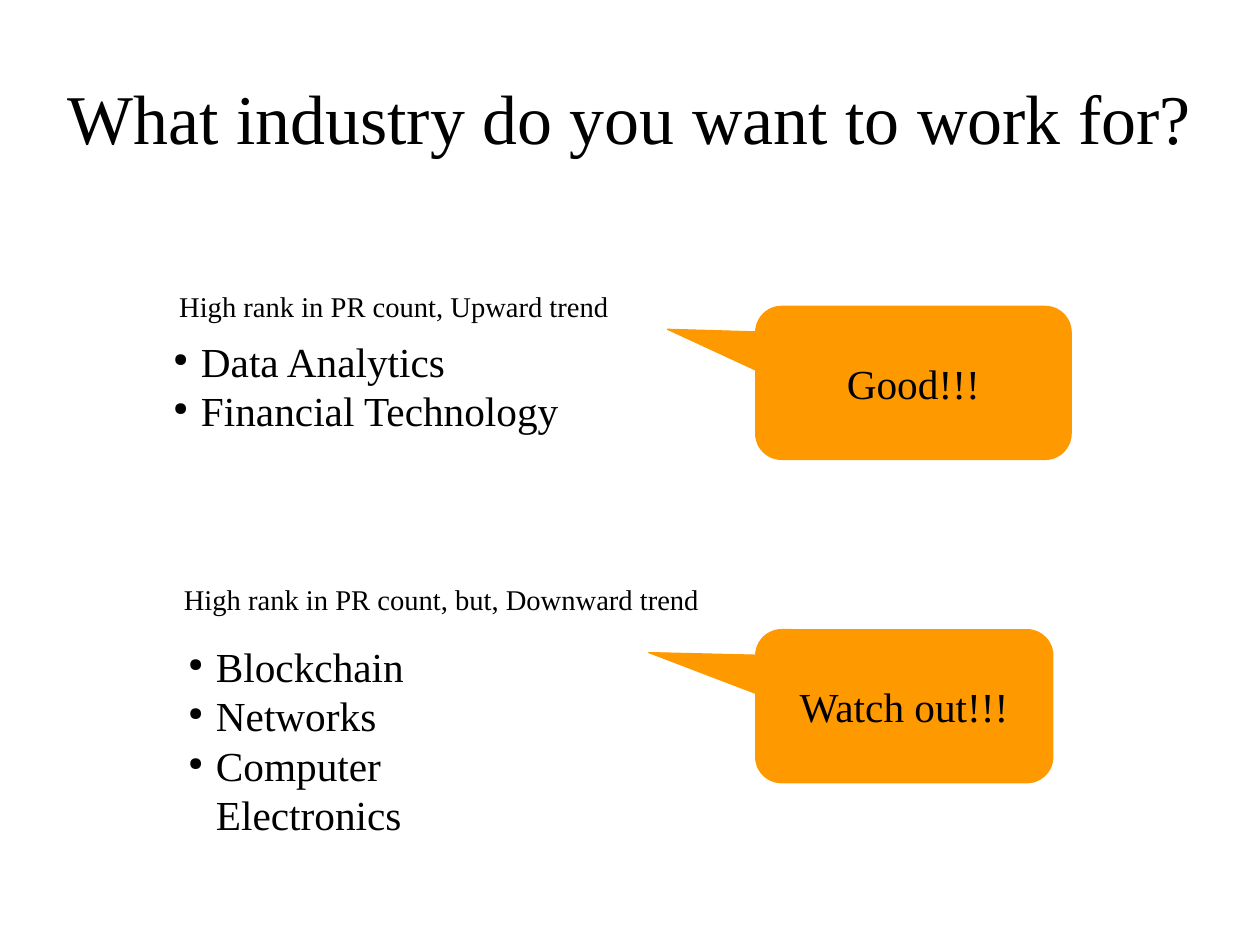
from dataclasses import dataclass

from lxml.etree import SubElement
from pptx import Presentation
from pptx.dml.color import RGBColor
from pptx.enum.shapes import MSO_SHAPE as Shape
from pptx.enum.text import MSO_ANCHOR as Anchor, PP_ALIGN as Align
from pptx.oxml.ns import qn
from pptx.util import Pt


@dataclass(frozen=True)
class Theme:
    font: str = "Times New Roman"
    ink: RGBColor = RGBColor(0x00, 0x00, 0x00)
    accent: RGBColor = RGBColor(0xFF, 0x99, 0x00)
    title: int = 44
    body: int = 26
    label: int = 18


THEME = Theme()
BULLET_INDENT = Pt(17.28)


def write(para, text, size):
    span = para.add_run()
    span.text = text
    span.font.name = THEME.font
    span.font.size = Pt(size)
    span.font.color.rgb = THEME.ink


def add_box(page, left, top, width, height):
    box = page.shapes.add_textbox(Pt(left), Pt(top), Pt(width), Pt(height))
    box.text_frame.word_wrap = False
    return box.text_frame


def add_title(page, text):
    frame = add_box(page, 39.6, 23.8, 714.2, 99.4)
    frame.word_wrap = True
    frame.vertical_anchor = Anchor.MIDDLE
    frame.margin_left = frame.margin_right = 0
    frame.margin_top = frame.margin_bottom = 0
    para = frame.paragraphs[0]
    para.alignment = Align.CENTER
    write(para, text, THEME.title)


def add_label(page, text, left, top, width):
    frame = add_box(page, left, top, width, 28.8)
    write(frame.paragraphs[0], text, THEME.label)


def set_bullet(para):
    props = para._p.get_or_add_pPr()
    props.set("marL", str(BULLET_INDENT))
    props.set("indent", str(-BULLET_INDENT))
    colour = SubElement(props, qn("a:buClr"))
    SubElement(colour, qn("a:srgbClr"), val=str(THEME.ink))
    SubElement(props, qn("a:buSzPct"), val="45000")
    SubElement(props, qn("a:buChar"), char="●")


def add_bullets(page, items, left, top, height):
    frame = add_box(page, left, top, 259.2, height)
    for index, item in enumerate(items):
        para = frame.add_paragraph() if index else frame.paragraphs[0]
        set_bullet(para)
        write(para, item, THEME.body)


def add_callout(page, text, top, width, tip_x):
    """Add a rounded callout; tip_x is the tip's offset as a share of the width."""
    callout = page.shapes.add_shape(
        Shape.ROUNDED_RECTANGULAR_CALLOUT, Pt(475.9), Pt(top), Pt(width), Pt(96.5))
    for index, value in enumerate((tip_x, -0.35, 0.17)):
        callout.adjustments[index] = value
    callout.shadow.inherit = False
    callout.fill.solid()
    callout.fill.fore_color.rgb = THEME.accent
    callout.line.color.rgb = THEME.accent
    callout.line.width = Pt(0)
    frame = callout.text_frame
    frame.word_wrap = False
    frame.vertical_anchor = Anchor.MIDDLE
    para = frame.paragraphs[0]
    para.alignment = Align.CENTER
    write(para, text, THEME.body)


def main():
    deck = Presentation()
    deck.slide_width, deck.slide_height = Pt(793.5), Pt(595.4)
    page = deck.slides.add_slide(deck.slide_layouts[6])

    add_title(page, "What industry do you want to work for?")

    add_bullets(page, ("Data Analytics", "Financial Technology"), 102.2, 208.1, 69.8)
    add_label(page, "High rank in PR count, Upward trend", 105.8, 178.6, 285.1)
    add_callout(page, "Good!!!", 193, 198.7, -0.78)

    add_label(page, "High rank in PR count, but, Downward trend", 108.7, 362.9, 339.1)
    add_bullets(page, ("Blockchain", "Networks", "Computer Electronics"),
                111.6, 400.3, 101.5)
    add_callout(page, "Watch out!!!", 396.7, 187.2, -0.86)

    deck.save("out.pptx")


if __name__ == "__main__":
    main()
